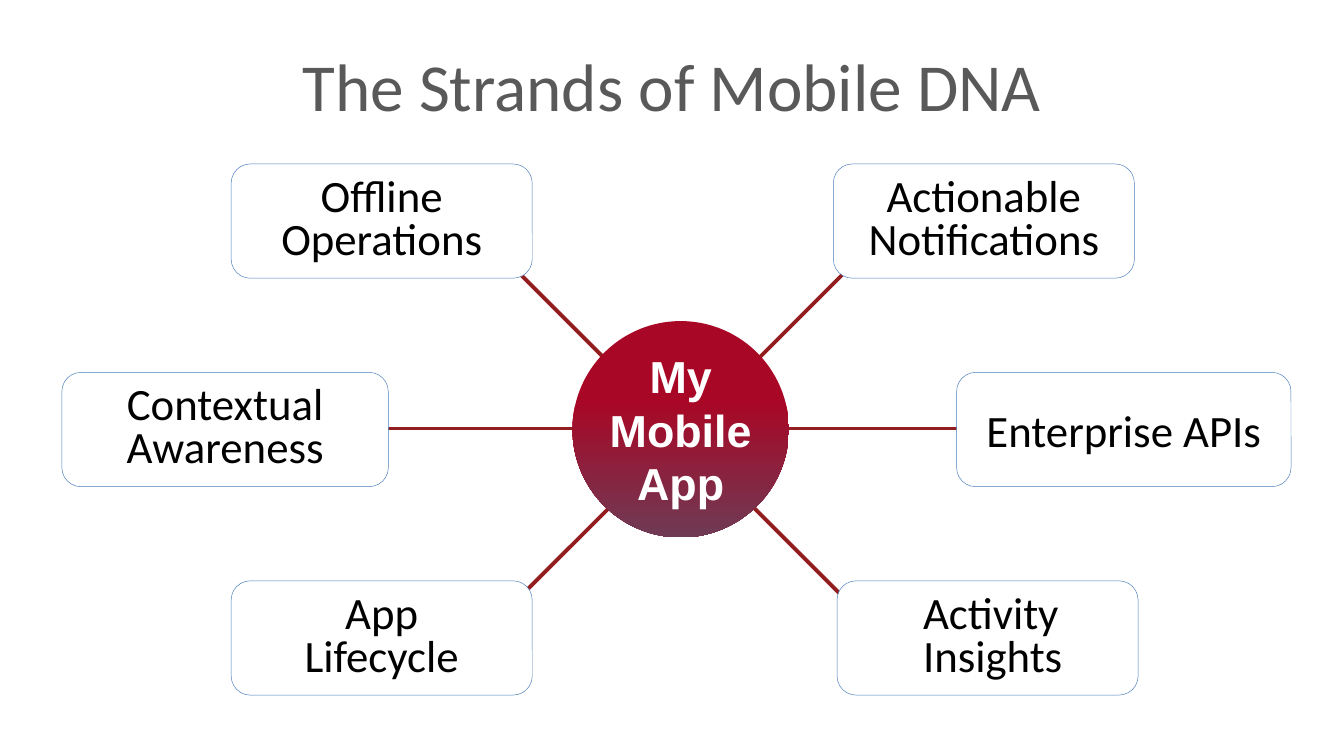
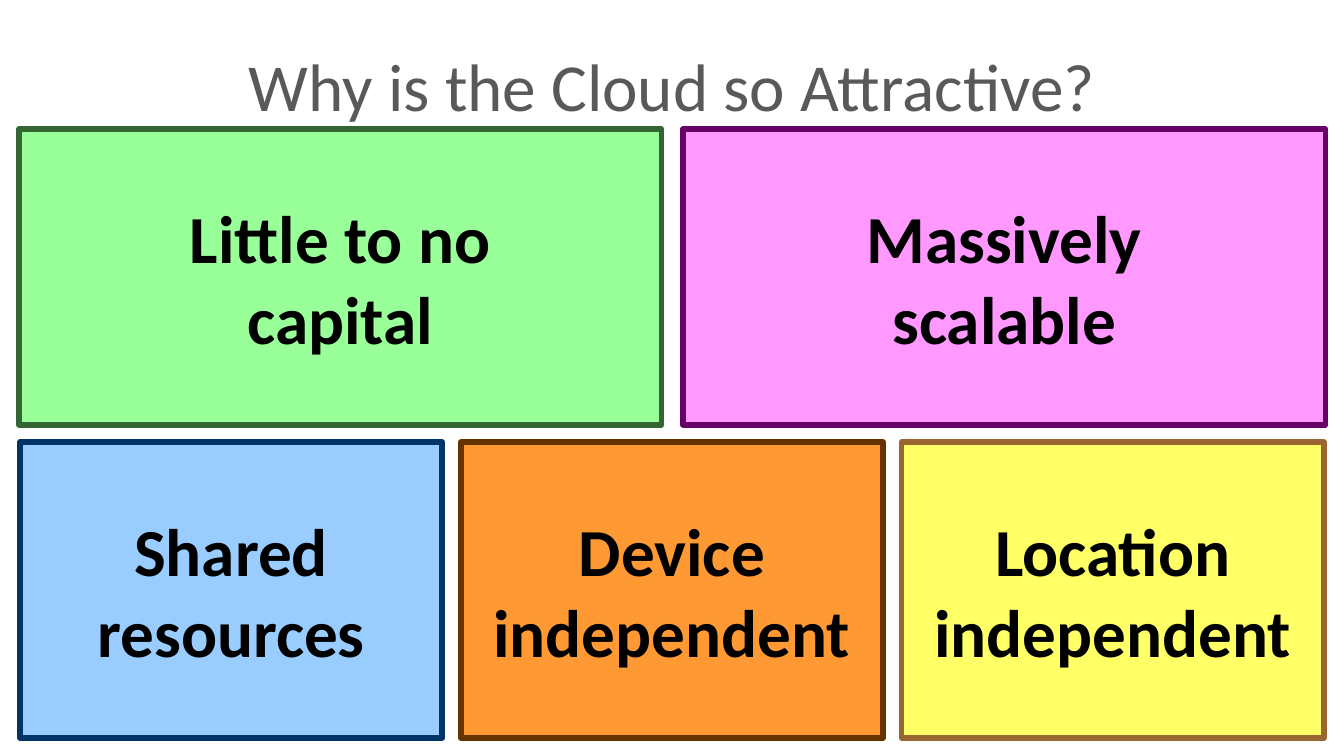
from lxml.etree import SubElement
from pptx import Presentation
from pptx.dml.color import RGBColor
from pptx.enum.shapes import MSO_CONNECTOR, MSO_SHAPE
from pptx.enum.text import MSO_ANCHOR, PP_ALIGN
from pptx.oxml.ns import qn
from pptx.util import Cm, Pt

COLORS = {
    "title": "595959", "text": "000000", "white": "FFFFFF",
    "spoke": "931E20", "edge": "4B7EBC",
    "hub": "A80725", "plum": "6F3A55",
    "mint": "99FF99", "green": "336633",
    "pink": "FF99FF", "purple": "660066",
    "sky": "99CCFF", "navy": "003366",
    "orange": "FF9933", "brown": "663300",
    "yellow": "FFFF66", "tan": "996633",
}


def color(name):
    return RGBColor.from_string(COLORS[name])


def write(shape, lines, size=24, font="Calibri", ink="text", bold=False,
          align=PP_ALIGN.CENTER, spacing=None, wrap=False, left=0, right=0):
    frame = shape.text_frame
    frame.text = "\n".join(lines)
    frame.word_wrap = wrap
    frame.vertical_anchor = MSO_ANCHOR.MIDDLE
    frame.margin_left, frame.margin_right = Cm(left), Cm(right)
    frame.margin_top = frame.margin_bottom = 0
    for para in frame.paragraphs:
        para.alignment = align
        if spacing:
            para.line_spacing = spacing
        for run in para.runs:
            run.font.name = font
            run.font.size = Pt(size)
            run.font.bold = bold
            run.font.color.rgb = color(ink)


def add_slide(deck, title):
    slide = deck.slides.add_slide(deck.slide_layouts[5])
    head = slide.shapes.title
    head.left, head.top, head.width, head.height = Cm(1.9), Cm(0.97), Cm(21.6), Cm(1.27)
    write(head, [title], size=36, ink="title")
    return slide


def add_box(slide, kind, x, y, w, h, fill, edge, weight):
    box = slide.shapes.add_shape(kind, Cm(x), Cm(y), Cm(w), Cm(h))
    box.shadow.inherit = False
    box.fill.solid()
    box.fill.fore_color.rgb = color(fill)
    box.line.color.rgb = color(edge)
    box.line.width = Pt(weight)
    return box


def add_card(slide, x, y, w, lines, **style):
    card = add_box(slide, MSO_SHAPE.ROUNDED_RECTANGLE, x, y, w, 2.16,
                   "white", "edge", 0.25)
    write(card, lines, **style)


def add_spoke(slide, x1, y1, x2, y2):
    spoke = slide.shapes.add_connector(
        MSO_CONNECTOR.STRAIGHT, Cm(x1), Cm(y1), Cm(x2), Cm(y2))
    spoke.line.color.rgb = color("spoke")
    spoke.line.width = Pt(2)
    SubElement(spoke._element.spPr, qn("a:effectLst"))


def add_hub(slide, x, y, size, lines):
    hub = slide.shapes.add_shape(MSO_SHAPE.OVAL, Cm(x), Cm(y), Cm(size), Cm(size))
    hub.shadow.inherit = False
    hub.line.fill.background()
    hub.fill.gradient()
    hub.fill.gradient_angle = 270
    for stop, name, place in zip(hub.fill.gradient_stops, ("hub", "plum"), (0.37, 1)):
        stop.color.rgb = color(name)
        stop.position = place
    write(hub, lines, font="Arial", ink="white", bold=True)


def add_row(slide, x, y, w, gap, tiles):
    for i, (lines, fill, edge, pad) in enumerate(tiles):
        tile = add_box(slide, MSO_SHAPE.RECTANGLE, x + i * (w + gap), y, w, 5.59,
                       fill, edge, 3)
        write(tile, lines, size=36, bold=True, wrap=True, left=pad, right=pad)


def build_strands(deck):
    slide = add_slide(deck, "The Strands of Mobile DNA")
    add_spoke(slide, 19.38, 8.1, 6.63, 8.1)
    add_spoke(slide, 9.78, 5.13, 15.98, 11.33)
    add_spoke(slide, 15.98, 5.13, 9.78, 11.33)
    add_hub(slide, 10.82, 6.07, 4.09, ["My", "Mobile", "App"])
    top, mid, low = (3.1 + i * 3.94 for i in range(3))
    tight = {"spacing": 0.8}
    add_card(slide, 4.37, top, 5.69, ["Offline", "Operations"], **tight)
    add_card(slide, 15.75, top, 5.69, ["Actionable", "Notifications"], **tight)
    add_card(slide, 1.17, mid, 6.17, ["Contextual", "Awareness"], **tight)
    add_card(slide, 18.08, mid, 6.32, ["Enterprise APIs"])
    add_card(slide, 4.37, low, 5.69, ["App", "Lifecycle"], **tight)
    add_card(slide, 15.82, low, 5.69, ["Activity", "Insights"],
             align=PP_ALIGN.LEFT, wrap=True, left=1.52, **tight)


def build_cloud(deck):
    slide = add_slide(deck, "Why is the Cloud so Attractive?")
    add_row(slide, 0.36, 2.44, 12.14, 0.41, [
        (["Little to no capital"], "mint", "green", 2.3),
        (["Massively", "scalable"], "pink", "purple", 2.3),
    ])
    add_row(slide, 0.38, 8.36, 7.98, 0.35, [
        (["Shared", "resources"], "sky", "navy", 0.25),
        (["Device", "independent"], "orange", "brown", 0.25),
        (["Location", "independent"], "yellow", "tan", 0.25),
    ])


def main():
    deck = Presentation()
    deck.slide_width, deck.slide_height = Cm(25.4), Cm(14.29)
    build_strands(deck)
    build_cloud(deck)
    deck.save("out.pptx")


if __name__ == "__main__":
    main()
